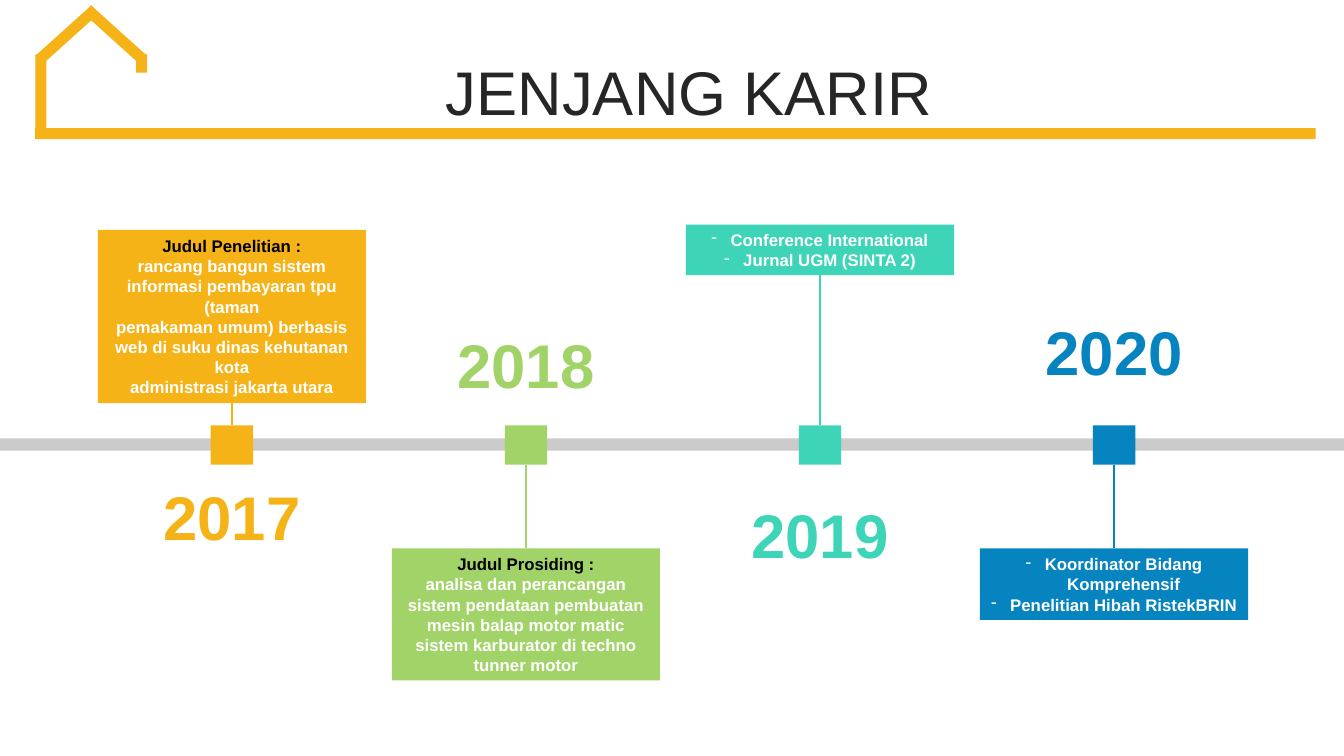
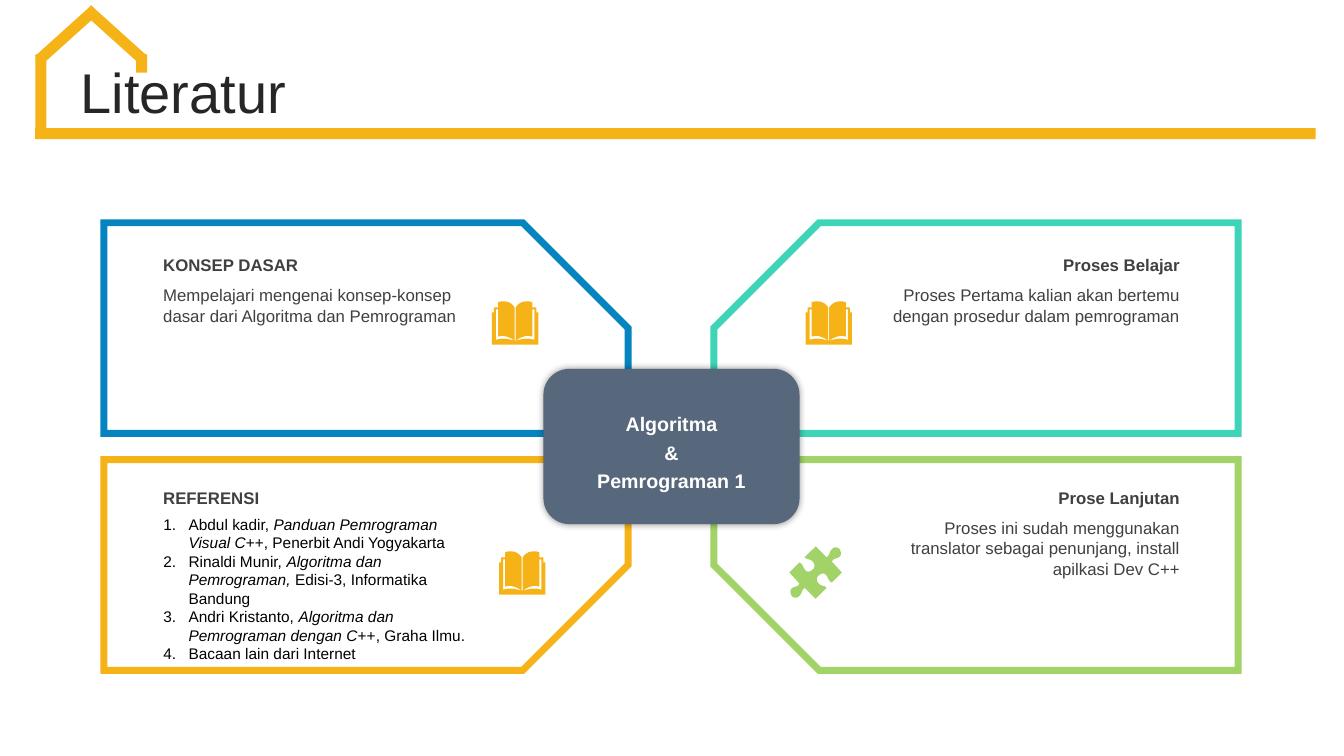
"""Build the career timeline and literature slides."""
from dataclasses import dataclass

import lxml.etree
import pptx
import pptx.dml.color
import pptx.enum.shapes
import pptx.enum.text
import pptx.oxml.ns
import pptx.util

Inches = pptx.util.Inches
Pt = pptx.util.Pt
qn = pptx.oxml.ns.qn
SHAPE = pptx.enum.shapes.MSO_SHAPE
ALIGN = pptx.enum.text.PP_ALIGN
ANCHOR = pptx.enum.text.MSO_ANCHOR


@dataclass(frozen=True)
class Theme:
    font: str = "Arial"
    yellow: str = "F5B317"
    green: str = "A2D368"
    teal: str = "3ED4B7"
    blue: str = "0684BF"
    slate: str = "57687C"
    rail: str = "CBCBCB"
    title: str = "262626"
    text: str = "404040"
    black: str = "000000"
    white: str = "FFFFFF"
    year_size: float = 44
    centre_size: float = 14
    text_size: float = 12
    list_size: float = 11


THEME = Theme()


@dataclass(frozen=True)
class Area:
    left: float
    top: float
    width: float
    height: float


@dataclass(frozen=True)
class Milestone:
    year: str
    colour: str
    year_top: float
    box_top: float
    box_height: float
    lines: tuple
    dashed: bool = False


@dataclass(frozen=True)
class Panel:
    heading: str
    body: str
    colour: str
    right: bool
    lower: bool


MILESTONES = (
    Milestone("2017", THEME.yellow, 4.77, 2.28, 1.72, (
        "Judul Penelitian :",
        "rancang bangun sistem informasi pembayaran tpu (taman",
        "pemakaman umum) berbasis web di suku dinas kehutanan kota",
        "administrasi jakarta utara")),
    Milestone("2018", THEME.green, 3.26, 5.44, 1.31, (
        "Judul Prosiding :",
        "analisa dan perancangan sistem pendataan pembuatan mesin balap "
        "motor matic sistem karburator di techno tunner motor")),
    Milestone("2019", THEME.teal, 4.95, 2.23, 0.5, (
        "Conference International", "Jurnal UGM (SINTA 2)"), True),
    Milestone("2020", THEME.blue, 3.13, 5.44, 0.71, (
        "Koordinator Bidang Komprehensif", "Penelitian Hibah RistekBRIN"), True),
)

PANELS = (
    Panel("KONSEP DASAR", "Mempelajari mengenai konsep-konsep dasar dari "
          "Algoritma dan Pemrograman", THEME.blue, False, False),
    Panel("Proses Belajar", "Proses Pertama kalian akan bertemu dengan "
          "prosedur dalam pemrograman", THEME.teal, True, False),
    Panel("REFERENSI", "", THEME.yellow, False, True),
    Panel("Prose Lanjutan", "Proses ini sudah menggunakan translator sebagai "
          "penunjang, install apilkasi Dev C++", THEME.green, True, True),
)

REFERENCES = (
    ("Abdul kadir, ", "Panduan Pemrograman Visual C++", ", Penerbit Andi Yogyakarta"),
    ("Rinaldi Munir, ", "Algoritma dan Pemrograman, ", "Edisi-3, Informatika Bandung"),
    ("Andri Kristanto, ", "Algoritma dan Pemrograman dengan C++", ", Graha Ilmu."),
    ("Bacaan lain dari Internet",),
)

BOOK_HALF = (
    ((0.5, 39),), ((8, 37), (11, 36), (19, 38)), ((19, 8),), ((17, 8),),
    ((17, 35),), ((12, 33), (6, 35), (0.5, 39)), ((0.5, 6),),
    ((3, 2), (7, 0), (11, 0)), ((13, 0), (15, 0), (17, 1)), ((17, 6),),
    ((21, 6),), ((21, 11),), ((23, 11),), ((23, 43),),
)
PUZZLE_HALF = (
    ((23, -24),), ((25, -22), (26, -18), (24, -16)),
    ((21, -13), (18, -15), (16, -11)), ((26, 0),), ((16, 10),),
    ((12, 8), (13, 5), (10, 2)), ((8, 0), (5, 1), (3, 3)),
    ((1, 4), (0, 8), (3, 11)), ((6, 14), (7, 12), (11, 15)), ((0, 26),),
    ((-11, 15),), ((-15, 19), (-13, 20), (-16, 23)),
    ((-18, 26), (-22, 25), (-23, 24)),
)


def rgb(colour: str) -> pptx.dml.color.RGBColor:
    return pptx.dml.color.RGBColor.from_string(colour)


def place(box, area: Area) -> None:
    box.left, box.top = Inches(area.left), Inches(area.top)
    box.width, box.height = Inches(area.width), Inches(area.height)


def add_box(page, area: Area, fill: str, kind=SHAPE.RECTANGLE):
    box = page.shapes.add_shape(kind, 0, 0, 0, 0)
    place(box, area)
    box.shadow.inherit = False
    box.fill.solid()
    box.fill.fore_color.rgb = rgb(fill)
    box.line.fill.background()
    return box


def format_para(para, size: float, colour: str, bold: bool = False,
                align=ALIGN.LEFT) -> None:
    para.alignment = align
    for span in para.runs:
        span.font.name = THEME.font
        span.font.size = Pt(size)
        span.font.bold = bold
        span.font.color.rgb = rgb(colour)


def add_bullet(para, indent: float, kind: str, **attributes: str) -> None:
    props = para._p.get_or_add_pPr()
    props.set("marL", str(Inches(indent)))
    props.set("indent", str(-Inches(indent)))
    if kind == "a:buChar":
        lxml.etree.SubElement(props, qn("a:buFontTx"))
    lxml.etree.SubElement(props, qn(kind), attributes)


def add_text(page, area: Area, text: str, size: float, colour: str,
             bold: bool = False, align=ALIGN.LEFT, anchor=ANCHOR.TOP,
             gap: float = 0) -> None:
    frame = page.shapes.add_textbox(0, 0, 0, 0)
    place(frame, area)
    frame.text_frame.word_wrap = True
    frame.text_frame.vertical_anchor = anchor
    frame.text_frame.text = text
    for number, para in enumerate(frame.text_frame.paragraphs):
        format_para(para, size, colour, bold, align)
        if number:
            para.space_before = Pt(gap)


def add_line(page, x: float, top: float, bottom: float, colour: str) -> None:
    line = page.shapes.add_connector(
        pptx.enum.shapes.MSO_CONNECTOR.STRAIGHT,
        Inches(x), Inches(top), Inches(x), Inches(bottom))
    line.line.color.rgb = rgb(colour)
    line.line.width = Pt(1.5)
    lxml.etree.SubElement(line.element.spPr, qn("a:effectLst"))


def flatten(steps: tuple, pieces: int = 5) -> list:
    points = []
    for step in steps:
        if len(step) == 1:
            points.append(step[0])
            continue
        curve = (points[-1], *step)
        for piece in range(1, pieces + 1):
            t = piece / pieces
            weights = ((1 - t) ** 3, 3 * t * (1 - t) ** 2, 3 * t * t * (1 - t), t ** 3)
            points.append(tuple(sum(w * point[axis] for w, point in zip(weights, curve))
                                for axis in (0, 1)))
    return points


def add_icon(page, x: float, y: float, points: list, colour: str) -> None:
    spots = [(Inches(x + px / 100), Inches(y + py / 100)) for px, py in points]
    builder = page.shapes.build_freeform(*spots[0])
    builder.add_line_segments(spots[1:], close=True)
    icon = builder.convert_to_shape()
    icon.shadow.inherit = False
    icon.fill.solid()
    icon.fill.fore_color.rgb = rgb(colour)
    icon.line.fill.background()


def add_header(deck, page) -> None:
    beams = (
        (Area(0.35, 1.27, 12.7, 0.11), 0), (Area(0.35, 0.54, 0.11, 0.8), 0),
        (Area(1.35, 0.54, 0.11, 0.18), 0), (Area(0.61, -0.03, 0.11, 0.75), 48),
        (Area(1.09, -0.03, 0.11, 0.75), 312),
    )
    for number, (area, angle) in enumerate(beams):
        beam = add_box(page, area, THEME.yellow)
        beam.rotation = angle
        beam.element.nvSpPr.cNvPr.id = 100 + number
        deck.slide_master.shapes.element.append(beam.element)


def set_title(page, text: str, left: float, size: float, align) -> None:
    title = page.shapes.title
    place(title, Area(left, 0.55, 13.01 - left, 0.79))
    title.text_frame.text = text
    title.text_frame.vertical_anchor = ANCHOR.MIDDLE
    title.text_frame.auto_size = pptx.enum.text.MSO_AUTO_SIZE.NONE
    para = title.text_frame.paragraphs[0]
    para.line_spacing = 0.9
    format_para(para, size, THEME.title, align=align)


def add_milestone(page, item: Milestone, centre: float) -> None:
    add_box(page, Area(centre - 0.21, 4.22, 0.42, 0.39), item.colour)
    box = add_box(page, Area(centre - 1.33, item.box_top, 2.66, item.box_height), item.colour)
    box.text_frame.word_wrap = True
    box.text_frame.text = "\n".join(item.lines)
    for number, para in enumerate(box.text_frame.paragraphs):
        if item.dashed:
            add_bullet(para, 0.19, "a:buChar", char="-")
        heading = number == 0 and not item.dashed
        format_para(para, THEME.text_size, THEME.black if heading else THEME.white,
                    True, ALIGN.CENTER)
    if item.box_top < 4.22:
        add_line(page, centre, item.box_top + item.box_height, 4.22, item.colour)
    else:
        add_line(page, centre, 4.61, item.box_top, item.colour)
    add_text(page, Area(centre - 1.09, item.year_top, 2.18, 0.7), item.year,
             THEME.year_size, item.colour, True, ALIGN.CENTER, ANCHOR.MIDDLE)


def add_panel(page, panel: Panel) -> None:
    area = Area(7.08 if panel.right else 1.03, 4.56 if panel.lower else 2.21, 5.2, 2.09)
    frame = add_box(page, area, THEME.white, SHAPE.SNIP_1_RECTANGLE)
    frame.adjustments[0] = 0.5
    frame.line.color.rgb = rgb(panel.colour)
    frame.line.width = Pt(5)
    props = frame.element.spPr
    lxml.etree.SubElement(props.find(qn("a:ln")), qn("a:miter"), lim="800000")
    for name, flipped in (("flipH", panel.right), ("flipV", panel.lower)):
        if flipped:
            props.find(qn("a:xfrm")).set(name, "1")
    left, top = (8.59 if panel.right else 1.52), (4.79 if panel.lower else 2.48)
    align = ALIGN.RIGHT if panel.right else ALIGN.LEFT
    add_text(page, Area(left, top, 3.21, 0.3), panel.heading, THEME.text_size,
             THEME.text, True, align)
    if panel.body:
        add_text(page, Area(left, top + 0.3, 3.21, 0.6), panel.body, THEME.text_size,
                 THEME.text, align=align)


def fill_references(page) -> None:
    box = page.placeholders[1]
    place(box, Area(1.52, 5.06, 3.21, 1.78))
    frame = box.text_frame
    frame.auto_size = pptx.enum.text.MSO_AUTO_SIZE.NONE
    for number, parts in enumerate(REFERENCES):
        para = frame.add_paragraph() if number else frame.paragraphs[0]
        para.space_before = Pt(0)
        add_bullet(para, 0.25, "a:buAutoNum", type="arabicPeriod")
        for position, part in enumerate(parts):
            span = para.add_run()
            span.text = part
            span.font.italic = position == 1
        format_para(para, THEME.list_size, THEME.black)
    page.shapes.element.append(box.element)


def add_centre(page) -> None:
    box = add_box(page, Area(5.39, 3.66, 2.54, 1.54), THEME.slate, SHAPE.ROUNDED_RECTANGLE)
    shadow = lxml.etree.SubElement(box.element.spPr.find(qn("a:effectLst")),
                                   qn("a:outerShdw"), blurRad=str(Pt(5)), dist="0", dir="0")
    colour = lxml.etree.SubElement(shadow, qn("a:srgbClr"), val=THEME.black)
    lxml.etree.SubElement(colour, qn("a:alpha"), val="40000")
    add_text(page, Area(5.74, 4.04, 1.84, 0.84), "Algoritma\n&\nPemrograman 1",
             THEME.centre_size, THEME.white, True, ALIGN.CENTER, gap=3.5)


def main() -> None:
    deck = pptx.Presentation()
    deck.slide_width, deck.slide_height = Inches(13.33), Inches(7.5)

    career = deck.slides.add_slide(deck.slide_layouts[5])
    add_header(deck, career)
    set_title(career, "JENJANG KARIR", 0.66, 44, ALIGN.CENTER)
    add_box(career, Area(-0.02, 4.35, 13.4, 0.12), THEME.rail)
    for number, item in enumerate(MILESTONES):
        add_milestone(career, item, 2.3 + number * 8.75 / 3)

    literature = deck.slides.add_slide(deck.slide_layouts[1])
    set_title(literature, "Literatur", 0.7, 40, ALIGN.LEFT)
    for panel in PANELS:
        add_panel(literature, panel)
    add_centre(literature)
    fill_references(literature)
    half = flatten(BOOK_HALF)
    book = half + [(-x, y) for x, y in reversed(half)]
    for x, y in ((5.11, 2.99), (8.22, 2.99), (5.18, 5.47)):
        add_icon(literature, x, y, book, THEME.yellow)
    half = flatten(PUZZLE_HALF)
    add_icon(literature, 8.09, 5.68, half + [(-x, -y) for x, y in half], THEME.green)
    deck.save("out.pptx")


if __name__ == "__main__":
    main()
